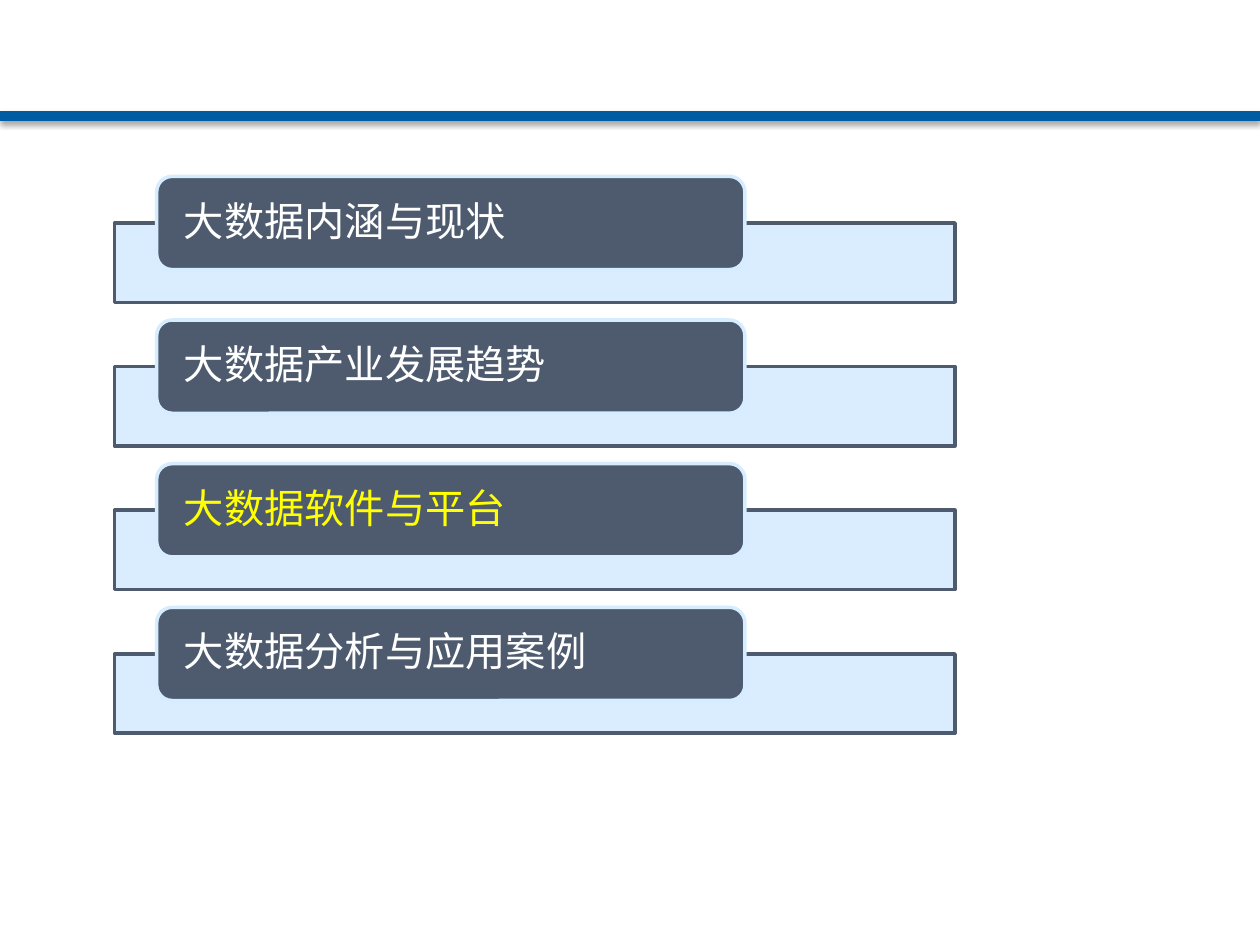
from dataclasses import dataclass

from lxml.etree import SubElement
from pptx import Presentation
from pptx.dml.color import RGBColor
from pptx.enum.shapes import MSO_CONNECTOR, MSO_SHAPE
from pptx.enum.text import MSO_ANCHOR, PP_ALIGN
from pptx.oxml import parse_xml
from pptx.oxml.ns import nsdecls, qn
from pptx.util import Inches, Pt


@dataclass(frozen=True)
class Theme:
    rule: RGBColor = RGBColor.from_string("005CA2")
    slate: RGBColor = RGBColor.from_string("4E5B6F")
    pale: RGBColor = RGBColor.from_string("D6ECFF")
    text: RGBColor = RGBColor.from_string("FFFFFF")
    current: RGBColor = RGBColor.from_string("FFFF00")
    font: str = "Arial"
    size: Pt = Pt(23)
    outline: Pt = Pt(2)
    rule_width: Pt = Pt(6)


THEME = Theme()
TOPICS = ["大数据内涵与现状", "大数据产业发展趋势", "大数据软件与平台", "大数据分析与应用案例"]
CURRENT_TOPIC = 2


def add_header_rule(slide, left, top, width):
    rule = slide.shapes.add_connector(
        MSO_CONNECTOR.STRAIGHT, Inches(left), Inches(top), Inches(left + width), Inches(top))
    rule.line.color.rgb = THEME.rule
    rule.line.width = THEME.rule_width
    # Soft shadow straight below the rule
    rule._element.spPr.append(parse_xml(
        f'<a:effectLst {nsdecls("a")}>'
        f'<a:outerShdw blurRad="{Pt(3.1)}" dist="{Pt(1.8)}" dir="5400000" rotWithShape="0">'
        '<a:srgbClr val="000000"><a:alpha val="35000"/></a:srgbClr>'
        '</a:outerShdw></a:effectLst>'))


def add_panel(slide, preset, left, top, width, height, fill, outline):
    panel = slide.shapes.add_shape(
        preset, Inches(left), Inches(top), Inches(width), Inches(height))
    panel.shadow.inherit = False
    panel.fill.solid()
    panel.fill.fore_color.rgb = fill
    panel.line.color.rgb = outline
    panel.line.width = THEME.outline
    return panel


def add_topic(slide, topic, color, left, top, width):
    # Pale bar behind, slightly transparent
    bar = add_panel(slide, MSO_SHAPE.RECTANGLE, left, top + 0.37, width, 0.63,
                    THEME.pale, THEME.slate)
    bar_color = bar._element.spPr.find(qn("a:solidFill")).find(qn("a:srgbClr"))
    SubElement(bar_color, qn("a:alpha"), val="90000")

    # Label, 5% in from the bar's left and 70% of its width
    label = add_panel(slide, MSO_SHAPE.ROUNDED_RECTANGLE, left + width * 0.05, top,
                      width * 0.7, 0.74, THEME.slate, THEME.pale)
    frame = label.text_frame
    frame.word_wrap = True
    frame.vertical_anchor = MSO_ANCHOR.MIDDLE
    frame.margin_left = frame.margin_right = Inches(0.18)
    frame.margin_top = frame.margin_bottom = 0
    paragraph = frame.paragraphs[0]
    paragraph.alignment = PP_ALIGN.LEFT
    paragraph.line_spacing = 0.9
    run = paragraph.add_run()
    run.text = topic
    run.font.name = THEME.font
    run.font.size = THEME.size
    run.font.color.rgb = color


def add_agenda(slide, left, top, width, pitch):
    for index, topic in enumerate(TOPICS):
        color = THEME.current if index == CURRENT_TOPIC else THEME.text
        add_topic(slide, topic, color, left, top + index * pitch, width)


def main():
    presentation = Presentation()
    presentation.slide_width = Inches(10)
    presentation.slide_height = Inches(7.5)
    blank_layout = presentation.slide_layouts[6]
    slide = presentation.slides.add_slide(blank_layout)
    add_header_rule(slide, 0, 0.92, 10)
    add_agenda(slide, 0.91, 1.4, 6.67, 1.14)
    presentation.save("out.pptx")


if __name__ == "__main__":
    main()
